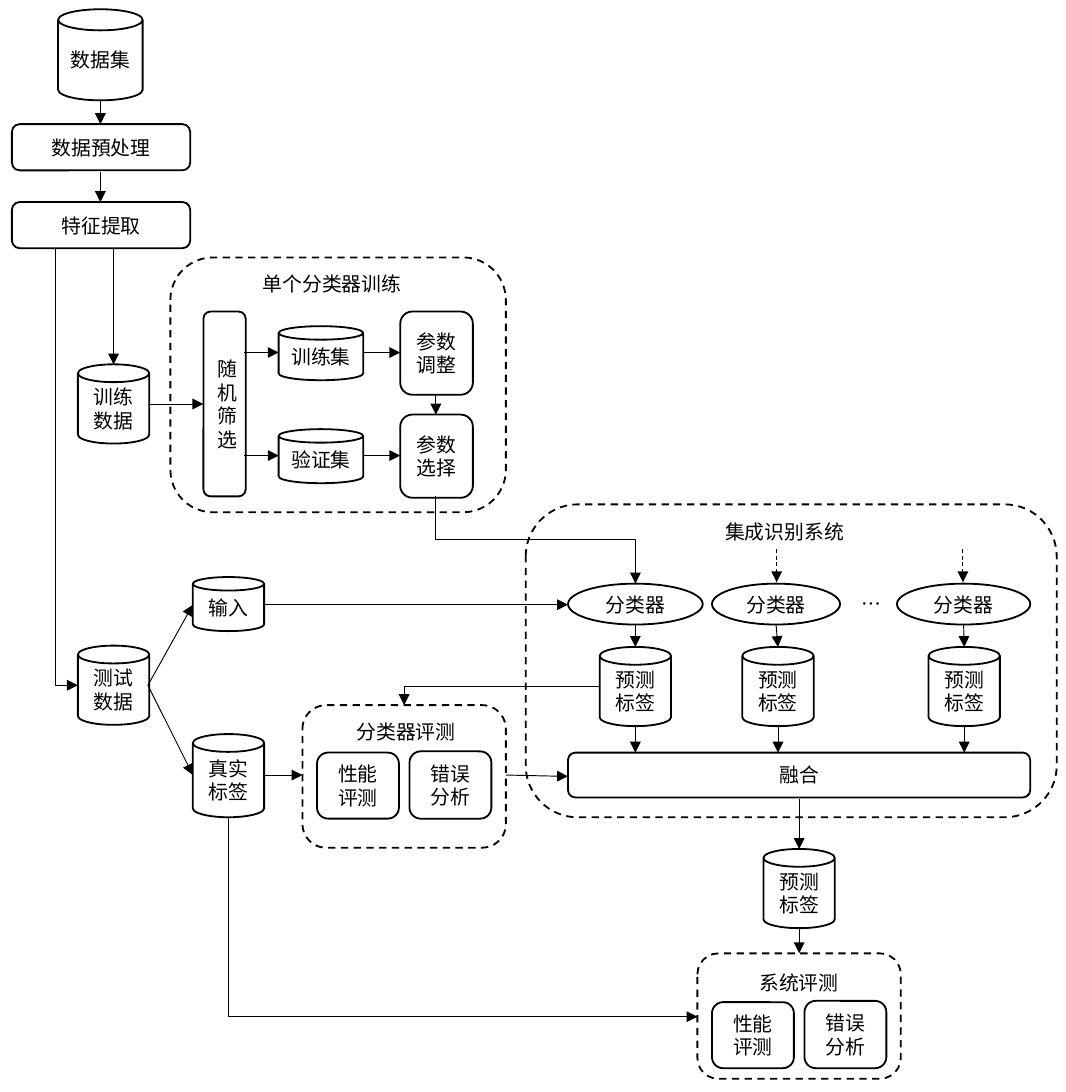
import pptx
import pptx.util
import pptx.dml.color
import pptx.enum.dml
import pptx.enum.shapes
import pptx.enum.text
import pptx.oxml
import pptx.oxml.ns
import lxml.etree

Inches = pptx.util.Inches
Pt = pptx.util.Pt
qn = pptx.oxml.ns.qn
BLACK = pptx.dml.color.RGBColor(0, 0, 0)
WHITE = pptx.dml.color.RGBColor(255, 255, 255)
FONT = "Noto Sans CJK SC"
DASH = pptx.enum.dml.MSO_LINE.DASH
KIND = pptx.enum.shapes.MSO_SHAPE
CAN, ROUND, OVAL = KIND.CAN, KIND.ROUNDED_RECTANGLE, KIND.OVAL
WIRE = pptx.enum.shapes.MSO_CONNECTOR

deck = pptx.Presentation()
deck.slide_width, deck.slide_height = Inches(8.07), Inches(8.27)
slide = deck.slides.add_slide(deck.slide_layouts[6])
slide.background.fill.solid()
slide.background.fill.fore_color.rgb = WHITE
page = slide.shapes


def box(where, kind, left, top, wide, high, text="", dash=None):
    """Add an outlined shape, or a plain label when kind is None."""
    area = [Inches(v) for v in (left, top, wide, high)]
    if kind is None:
        item = where.add_textbox(*area)
        item.text_frame.word_wrap = False
    else:
        item = where.add_shape(kind, *area)
        item.shadow.inherit = False
        item.fill.background()
        item.line.color.rgb = BLACK
        item.line.width = Pt(1)
        item.line.dash_style = dash
    if not text:
        return
    frame = item.text_frame
    frame.text = text
    para = frame.paragraphs[0]
    if kind is not None:
        frame.word_wrap = True
        frame.margin_left = frame.margin_right = Inches(0.09)
        frame.margin_top = frame.margin_bottom = Inches(0.05)
        frame.vertical_anchor = pptx.enum.text.MSO_ANCHOR.MIDDLE
        para.alignment = pptx.enum.text.PP_ALIGN.CENTER
    font = para.runs[0].font
    font.name, font.size = FONT, Pt(10.8)
    font.color.rgb = BLACK
    props = para.runs[0]._r.get_or_add_rPr()
    lxml.etree.SubElement(props, qn("a:ea")).set("typeface", FONT)


def link(where, x1, y1, x2, y2, bend=None, down=False, dash=None):
    """Add an arrow; bend names an elbow preset, down makes it leave downwards."""
    if down:  # turned by 270 degrees about its centre
        midx, midy = (x1 + x2) / 2, (y1 + y2) / 2
        halfx, halfy = (x2 - x1) / 2, (y2 - y1) / 2
        x1, y1, x2, y2 = midx + halfy, midy - halfx, midx - halfy, midy + halfx
    kind = WIRE.ELBOW if bend else WIRE.STRAIGHT
    wire = where.add_connector(kind, *[Inches(v) for v in (x1, y1, x2, y2)])
    wire.line.color.rgb = BLACK
    wire.line.width = Pt(0.5)
    wire.line.dash_style = dash
    props = wire._element.spPr
    if bend:
        props.find(qn("a:prstGeom")).set("prst", bend)
    if down:
        props.find(qn("a:xfrm")).set("rot", str(270 * 60000))
    tail = lxml.etree.SubElement(props.find(qn("a:ln")), qn("a:tailEnd"))
    tail.set("type", "triangle")
    lxml.etree.SubElement(props, qn("a:effectLst"))


# Dashed frames and their titles
for left, top, wide, high in [
    (1.29, 1.95, 2.54, 1.93), (3.98, 3.82, 4.02, 2.37),
    (2.29, 5.34, 1.54, 1.08), (5.28, 7.22, 1.54, 0.95),
]:
    box(page, ROUND, left, top, wide, high, dash=DASH)
for left, top, wide, text in [
    (1.89, 2.01, 1.26, "单个分类器训练"), (5.39, 3.89, 1.11, "集成识别系统"),
    (2.6, 5.4, 0.96, "分类器评测"), (5.65, 7.3, 0.81, "系统评测"),
    (6.42, 4.43, 0.35, "…"),
]:
    box(page, None, left, top, wide, 0.28, text)

# Data stores
for left, top, wide, high, text in [
    (0.44, 0.07, 0.64, 0.69, "数据集"),
    (0.59, 2.76, 0.54, 0.6, "训练数据"),
    (0.59, 4.89, 0.54, 0.6, "测试数据"),
    (1.46, 4.37, 0.54, 0.41, "输入"),
    (1.46, 5.56, 0.54, 0.63, "真实标签"),
    (5.78, 6.43, 0.54, 0.6, "预测标签"),
]:
    box(page, CAN, left, top, wide, high, text)

# Steps
for left, top, wide, high, text in [
    (0.09, 0.94, 1.35, 0.35, "数据預处理"),
    (0.09, 1.53, 1.35, 0.35, "特征提取"),
    (1.54, 2.36, 0.32, 1.4, "随机筛选"),
    (4.3, 5.7, 3.5, 0.34, "融合"),
]:
    box(page, ROUND, left, top, wide, high, text)

# Training rows: data set to parameter step
for row, (data, step) in enumerate([("训练集", "参数调整"), ("验证集", "参数选择")]):
    drop = 0.78 * row
    box(page, CAN, 2.11, 2.47 + drop, 0.64, 0.41, data)
    box(page, ROUND, 3.03, 2.36 + drop, 0.55, 0.63, step)
    link(page, 1.85, 2.67 + drop, 2.11, 2.67 + drop)
    link(page, 2.75, 2.67 + drop, 3.03, 2.67 + drop)

# Evaluation pairs
for left, top in [(2.4, 5.7), (5.39, 7.59)]:
    box(page, ROUND, left, top, 0.62, 0.5, "性能评测")
    box(page, ROUND, left + 0.7, top - 0.01, 0.62, 0.51, "错误分析")

# Classifier columns
for left, wide, mid in [(4.3, 1.02, 4.81), (5.39, 0.97, 5.89), (6.79, 1.01, 7.3)]:
    group = page.add_group_shape().shapes
    box(group, OVAL, left, 4.42, wide, 0.31, "分类器")
    box(group, CAN, mid - 0.27, 4.9, 0.54, 0.6, "预测标签")
    link(group, left + wide / 2, 4.73, mid, 4.9)
    link(group, mid, 5.5, mid, 5.7)
for mid in (5.88, 7.29):
    link(page, mid, 4.16, mid, 4.41, dash=DASH)

# Straight arrows
for ends in [
    (0.76, 0.76, 0.76, 0.94), (0.76, 1.3, 0.76, 1.53),
    (0.86, 1.88, 0.86, 2.76), (1.12, 3.06, 1.54, 3.06),
    (3.3, 2.99, 3.3, 3.14), (2, 4.58, 4.3, 4.58),
    (1.12, 5.19, 1.46, 4.58), (1.12, 5.19, 1.46, 5.87),
    (2, 5.87, 2.29, 5.87), (3.83, 5.87, 4.3, 5.88),
    (6.05, 6.05, 6.05, 6.43), (6.05, 7.03, 6.05, 7.22),
]:
    link(page, *ends)

# Bent arrows
link(page, 0.42, 1.88, 0.59, 5.19, "bentConnector2", down=True)
link(page, 1.73, 6.19, 5.28, 7.7, "bentConnector2", down=True)
link(page, 3.3, 3.76, 4.81, 4.42, "bentConnector3", down=True)
link(page, 4.54, 5.2, 3.06, 5.34, "bentConnector2")

deck.save("out.pptx")
